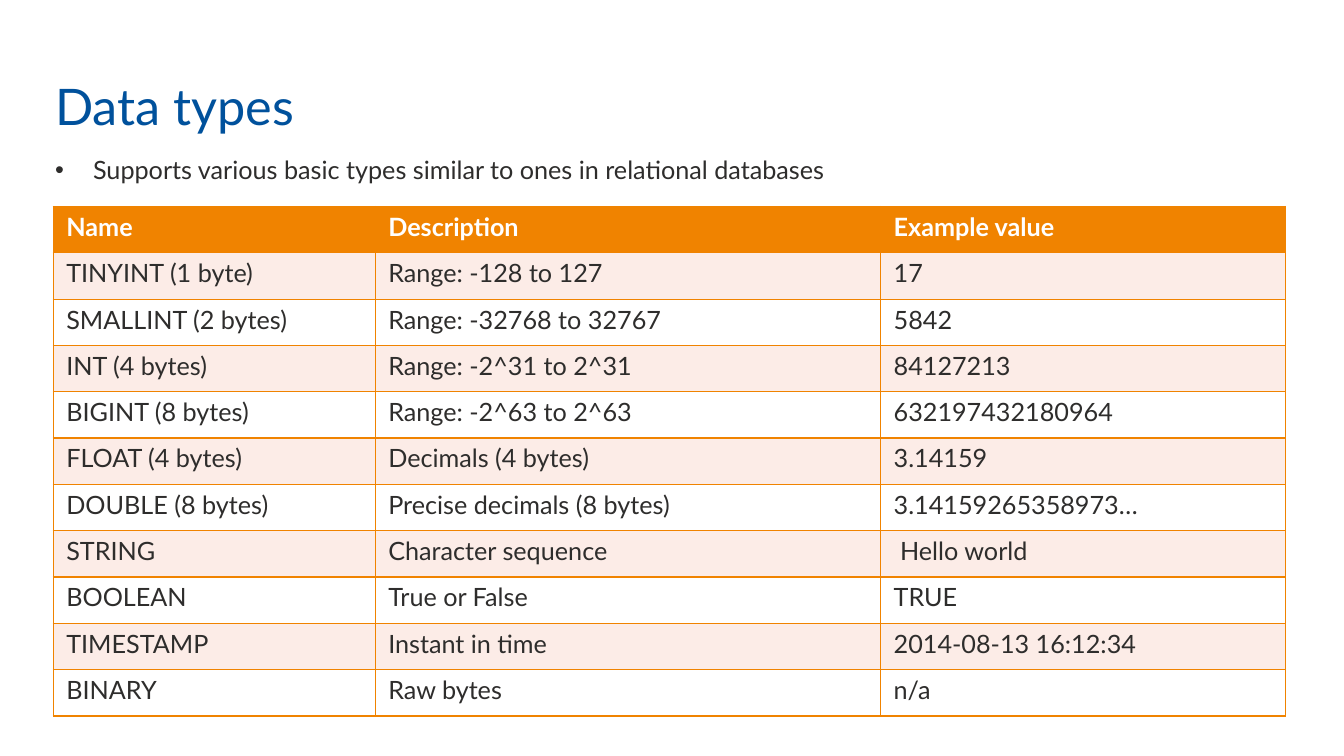
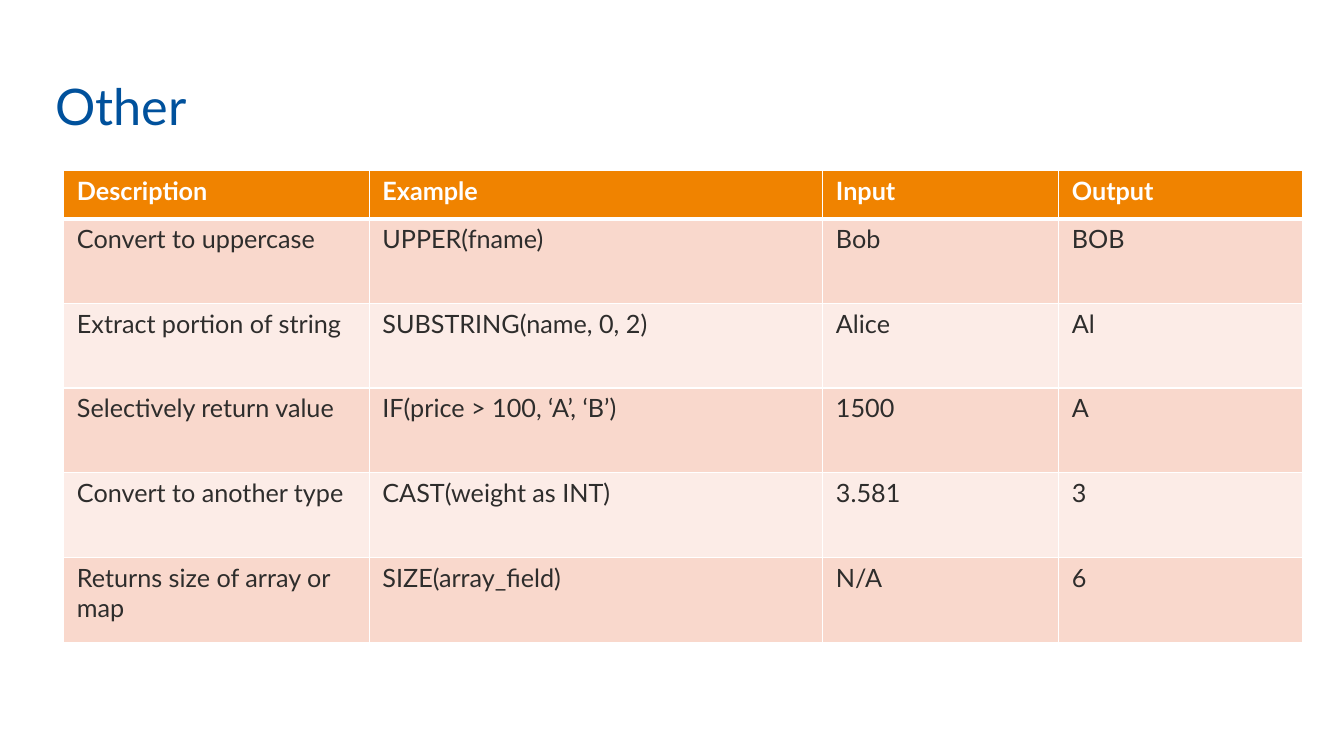
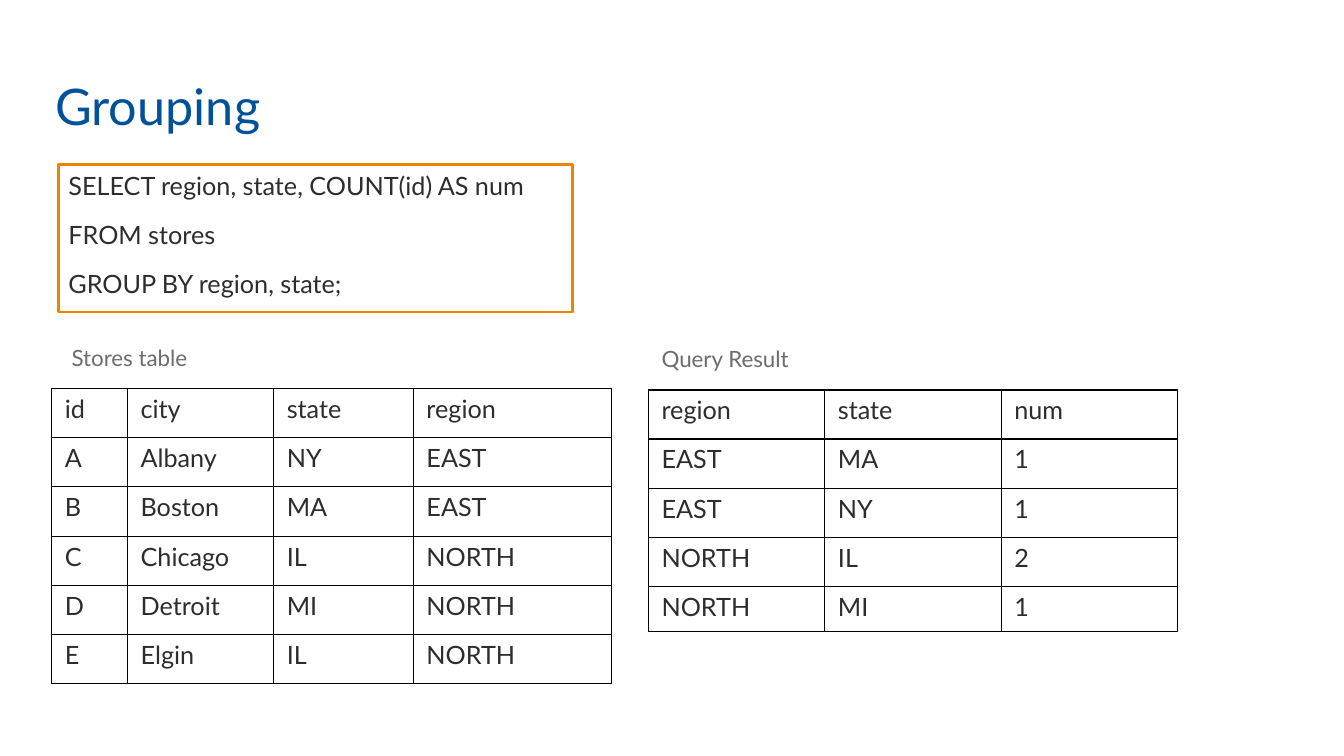
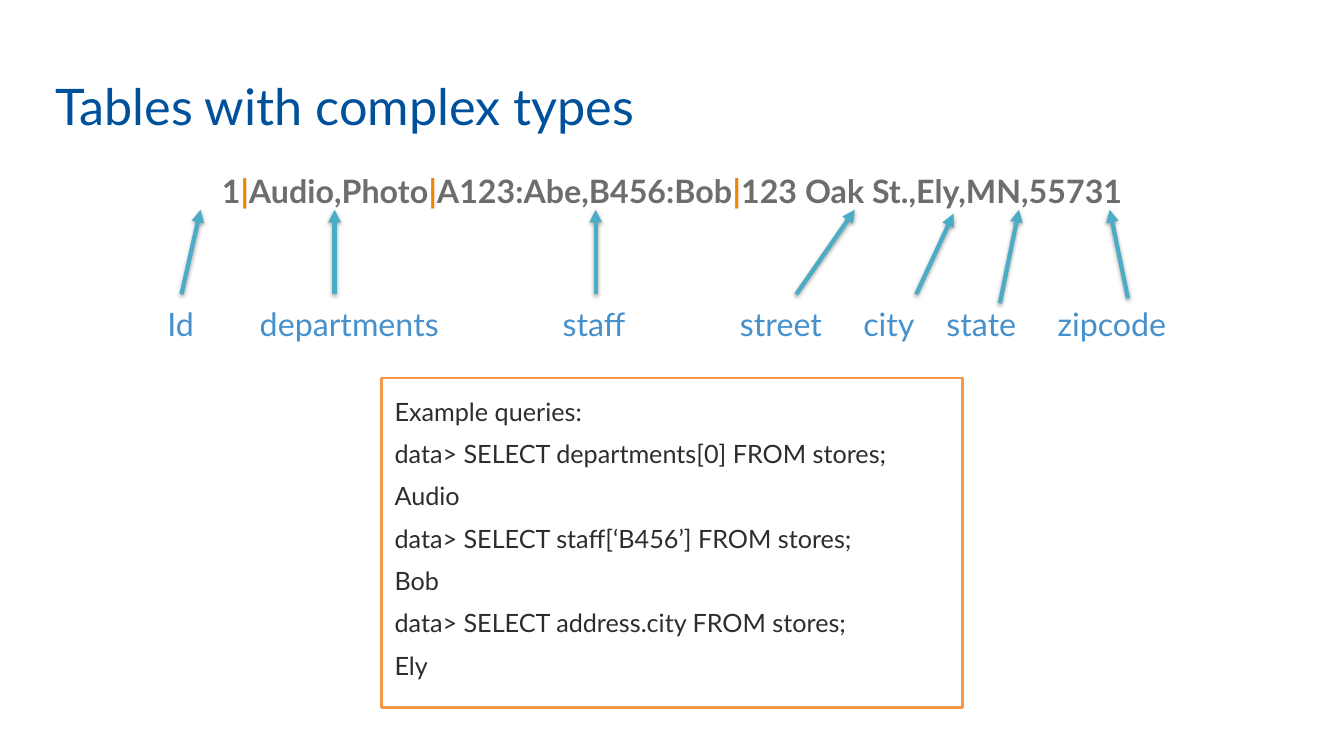
from lxml import etree
from pptx import Presentation
from pptx.dml.color import RGBColor
from pptx.enum.shapes import MSO_CONNECTOR, MSO_SHAPE
from pptx.enum.text import MSO_ANCHOR, PP_ALIGN
from pptx.oxml import parse_xml
from pptx.oxml.ns import nsdecls, qn
from pptx.util import Pt

RECT = MSO_SHAPE.RECTANGLE
LINE = MSO_CONNECTOR.STRAIGHT
TOP, MID, LOW = MSO_ANCHOR.TOP, MSO_ANCHOR.MIDDLE, MSO_ANCHOR.BOTTOM
LEFT, MIDST = PP_ALIGN.LEFT, PP_ALIGN.CENTER

HUES = {
    "title": "00519C", "ink": "2E2D2C", "gray": "6D6D6D", "label": "4591CE",
    "amber": "F08300", "peach": "F79646", "teal": "4BACC6", "rose": "F9D8CC",
    "blush": "FCECE7", "white": "FFFFFF", "black": "000000",
}
FONT = "Lato"
SLIM, WIDE, CELL = (7.2, 3.6), (9.36, 4.32), (9.36, 3.6)
LOOSE = {"space_before": Pt(10), "space_after": Pt(10)}

TYPES = [
    ["Name", "Description", "Example value"],
    ["TINYINT (1 byte)", "Range: -128 to 127", "17"],
    ["SMALLINT (2 bytes)", "Range: -32768 to 32767", "5842"],
    ["INT (4 bytes)", "Range: -2^31 to 2^31", "84127213"],
    ["BIGINT (8 bytes)", "Range: -2^63 to 2^63", "632197432180964"],
    ["FLOAT (4 bytes)", "Decimals (4 bytes)", "3.14159"],
    ["DOUBLE (8 bytes)", "Precise decimals (8 bytes)", "3.14159265358973…"],
    ["STRING", "Character sequence", " Hello world"],
    ["BOOLEAN", "True or False", "TRUE"],
    ["TIMESTAMP", "Instant in time", "2014-08-13 16:12:34"],
    ["BINARY", "Raw bytes", "n/a"],
]
CALLS = [
    ["Description", "Example", "Input", "Output"],
    ["Convert to uppercase", "UPPER(fname)", "Bob", "BOB"],
    ["Extract portion of string", "SUBSTRING(name, 0, 2)", "Alice", "Al"],
    ["Selectively return value", "IF(price > 100, ‘A’, ‘B’)", "1500", "A"],
    ["Convert to another type", "CAST(weight as INT)", "3.581", "3"],
    ["Returns size of array or map", "SIZE(array_field)", "N/A", "6"],
]
STORES = [
    ["id", "city", "state", "region"],
    ["A", "Albany", "NY", "EAST"],
    ["B", "Boston", "MA", "EAST"],
    ["C", "Chicago", "IL", "NORTH"],
    ["D", "Detroit", "MI", "NORTH"],
    ["E", "Elgin", "IL", "NORTH"],
]
COUNTS = [
    ["region", "state", "num"],
    ["EAST", "MA", "1"],
    ["EAST", "NY", "1"],
    ["NORTH", "IL", "2"],
    ["NORTH", "MI", "1"],
]
GROUP = [
    "SELECT region, state, COUNT(id) AS num",
    "FROM stores",
    "GROUP BY region, state;",
]
ASKS = [
    "Example queries:",
    "data> SELECT departments[0] FROM stores;",
    "Audio",
    "data> SELECT staff[‘B456’] FROM stores;",
    "Bob",
    "data> SELECT address.city FROM stores;",
    "Ely",
]
FIELDS = ["1", "Audio,Photo", "A123:Abe,B456:Bob", "123 Oak St.,Ely,MN,55731"]
PARTS = [
    ("Id", 129, (129.6, 210.2, 143.3, 149.8)),
    ("departments", 249.6, (239, 210.2, 239, 149.8)),
    ("staff", 424.3, (425.5, 210.2, 425.5, 149.8)),
    ("street", 557.9, (568.8, 210.2, 610.6, 149.8)),
    ("city", 635, (654.5, 210.2, 681.1, 152.6)),
    ("state", 701, (714.2, 216.7, 727.9, 149.8)),
    ("zipcode", 794.3, (805.7, 213.1, 792.7, 149.8)),
]


def tint(name):
    """Return the colour with this name."""
    return RGBColor.from_string(HUES[name])


def fit(item, vals):
    """Set attributes of an item from a dict."""
    for key, val in vals.items():
        setattr(item, key, val)


def points(*nums):
    """Turn numbers into point lengths."""
    return [Pt(num) for num in nums]


def inset(item, pad):
    """Set the side and edge margins of a frame or cell."""
    side, edge = points(*pad)
    fit(item, {"margin_left": side, "margin_right": side,
               "margin_top": edge, "margin_bottom": edge})


def write(frame, lines, size, hue="ink", bold=False, pad=SLIM, form=None, hold=TOP):
    """Fill a text frame; a line is a string or a list of (text, colour)."""
    fit(frame, {"word_wrap": True, "vertical_anchor": hold})
    inset(frame, pad)
    for rank, line in enumerate(lines):
        para = frame.add_paragraph() if rank else frame.paragraphs[0]
        fit(para, form or {})
        for text, tone in [(line, hue)] if isinstance(line, str) else line:
            run = para.add_run()
            run.text = text
            fit(run.font, {"size": Pt(size), "name": FONT, "bold": bold})
            run.font.color.rgb = tint(tone)


def label(slide, box, lines, size, **look):
    """Add a text box and return its frame."""
    frame = slide.shapes.add_textbox(*points(*box)).text_frame
    write(frame, lines, size, **look)
    return frame


def panel(slide, box, lines, edge, form, **look):
    """Add a white framed box of text."""
    shape = slide.shapes.add_shape(RECT, *points(*box))
    shape.shadow.inherit = False
    shape.fill.solid()
    shape.fill.fore_color.rgb = tint("white")
    shape.line.color.rgb = tint(edge)
    shape.line.width = Pt(2)
    write(shape.text_frame, lines, 18, form={"alignment": LEFT, **form}, **look)


def rule(cell, hue, widths):
    """Draw the left, right, top and bottom borders of a cell."""
    props = cell._tc.get_or_add_tcPr()
    for rank, (side, width) in enumerate(zip("LRTB", widths)):
        props.insert(rank, parse_xml(
            f'<a:ln{side} {nsdecls("a")} w="{Pt(width)}"><a:solidFill>'
            f'<a:srgbClr val="{HUES[hue]}"/></a:solidFill></a:ln{side}>'))


def grid(slide, spot, cols, rows, data, edge, thin=0.96, thick=0.96, bands=None):
    """Add a table; bands are the fills of odd and even body rows."""
    box = points(*spot, sum(cols), sum(rows))
    table = slide.shapes.add_table(len(rows), len(cols), *box).table
    fit(table, {"first_row": False, "horz_banding": False})
    for col, width in zip(table.columns, cols):
        col.width = Pt(width)
    for high, (row, size) in enumerate(zip(table.rows, rows)):
        row.height = Pt(size)
        head = bool(bands) and high == 0
        over, under = (thick if high == 1 else thin), (thick if high == 0 else thin)
        for cell, text in zip(row.cells, data[high]):
            write(cell.text_frame, [text], 18, "white" if head else "ink", head)
            inset(cell, CELL)
            if bands:
                cell.fill.solid()
                cell.fill.fore_color.rgb = tint(
                    "amber" if head else bands[(high - 1) % 2])
            else:
                cell.fill.background()
            rule(cell, edge, (thin, thin, over, under))


def arrow(slide, ends):
    """Add a teal arrow with a soft shadow."""
    link = slide.shapes.add_connector(LINE, *points(*ends))
    link.line.color.rgb = tint("teal")
    link.line.width = Pt(3)
    stroke = link.line._get_or_add_ln()
    etree.SubElement(stroke, qn("a:tailEnd"), type="triangle")
    link._element.spPr.append(parse_xml(
        f'<a:effectLst {nsdecls("a")}><a:outerShdw blurRad="{Pt(3.1)}" '
        f'dist="{Pt(1.6)}" dir="5400000" rotWithShape="0">'
        f'<a:srgbClr val="{HUES["black"]}"><a:alpha val="38000"/></a:srgbClr>'
        '</a:outerShdw></a:effectLst>'))


def start(deck, title):
    """Add a blank slide with its title."""
    slide = deck.slides.add_slide(deck.slide_layouts[6])
    label(slide, (32.4, 9.6, 718.6, 90.7), [title], 36, hue="title", hold=LOW)
    return slide


def types(deck):
    """Build the slide of basic types."""
    slide = start(deck, "Data types")
    grid(slide, (38, 147.5), (230, 361, 289.5), [33.1] * 11, TYPES,
         "amber", bands=("blush", "white"))
    frame = label(
        slide, (32.4, 106.6, 897.8, 36),
        ["Supports various basic types similar to ones in relational databases"],
        18, form=LOOSE)
    props = frame.paragraphs[0]._p.get_or_add_pPr()
    for key, val in {"marL": 27, "indent": -27}.items():
        props.set(key, str(Pt(val)))
    etree.SubElement(props, qn("a:buFont"), typeface="Arial")
    etree.SubElement(props, qn("a:buChar"), char="•")


def other(deck):
    """Build the slide of other functions."""
    slide = start(deck, "Other")
    grid(slide, (45.6, 121.7), (218.2, 324, 168.5, 174.3), [34.5] + [60.5] * 5,
         CALLS, "white", thick=3, bands=("rose", "blush"))


def lot(slide, spot, name, cols, rows, data):
    """Add a plain table with its caption above."""
    left, top, shift = spot
    label(slide, (left + shift, top, sum(cols), 28.1), [name], 16,
          hue="gray", pad=WIDE)
    grid(slide, (left, top + 36), cols, rows, data, "black", 1, 1)


def group(deck):
    """Build the slide on grouping."""
    slide = start(deck, "Grouping")
    panel(slide, (41.8, 117.4, 367.2, 105.5), GROUP, "amber",
          {"line_spacing": 0.7, **LOOSE}, hold=MID)
    lot(slide, (36.9, 241.4, 4.9), "Stores table", (54.2, 104.4, 99.8, 141.4),
        [35.2] * 6, STORES)
    lot(slide, (463.2, 242.5, 0), "Query Result", [126] * 3,
        [35.1] * 4 + [32.2], COUNTS)


def nested(deck):
    """Build the slide on complex types."""
    slide = start(deck, "Tables with complex types")
    runs = [(FIELDS[0], "gray")]
    for field in FIELDS[1:]:
        runs += [("|", "amber"), (field, "gray")]
    label(slide, (32.4, 118.8, 895.7, 36), [runs], 23, bold=True,
          form={"alignment": MIDST})
    for name, mid, ends in PARTS:
        label(slide, (mid - 75, 217.6, 150, 28), [name], 23, hue="label",
              pad=(0, 0), form={"alignment": MIDST})
        arrow(slide, ends)
    panel(slide, (272.5, 270, 415, 235.4), ASKS, "peach",
          {"line_spacing": 1.4}, pad=WIDE)


def main():
    """Build and save the deck."""
    deck = Presentation()
    fit(deck, {"slide_width": Pt(960), "slide_height": Pt(540)})
    for build in (types, other, group, nested):
        build(deck)
    deck.save("out.pptx")


if __name__ == "__main__":
    main()
